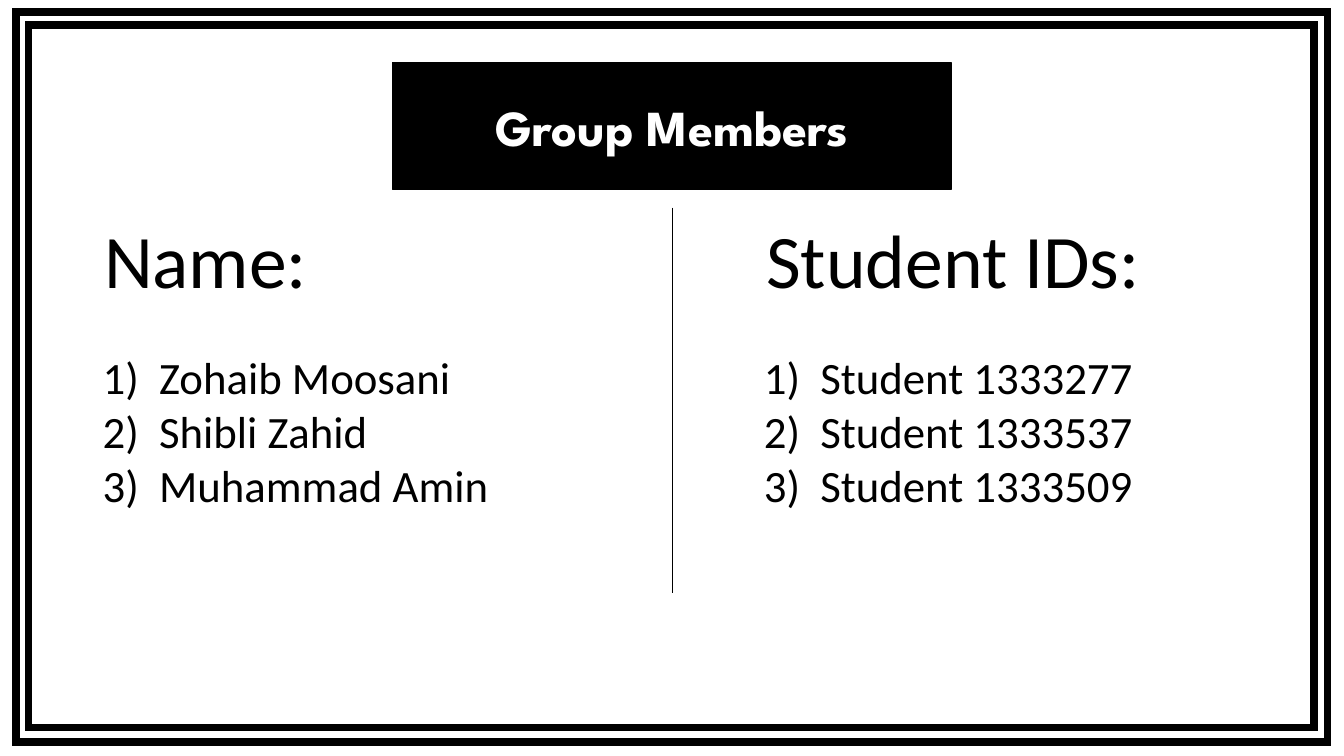
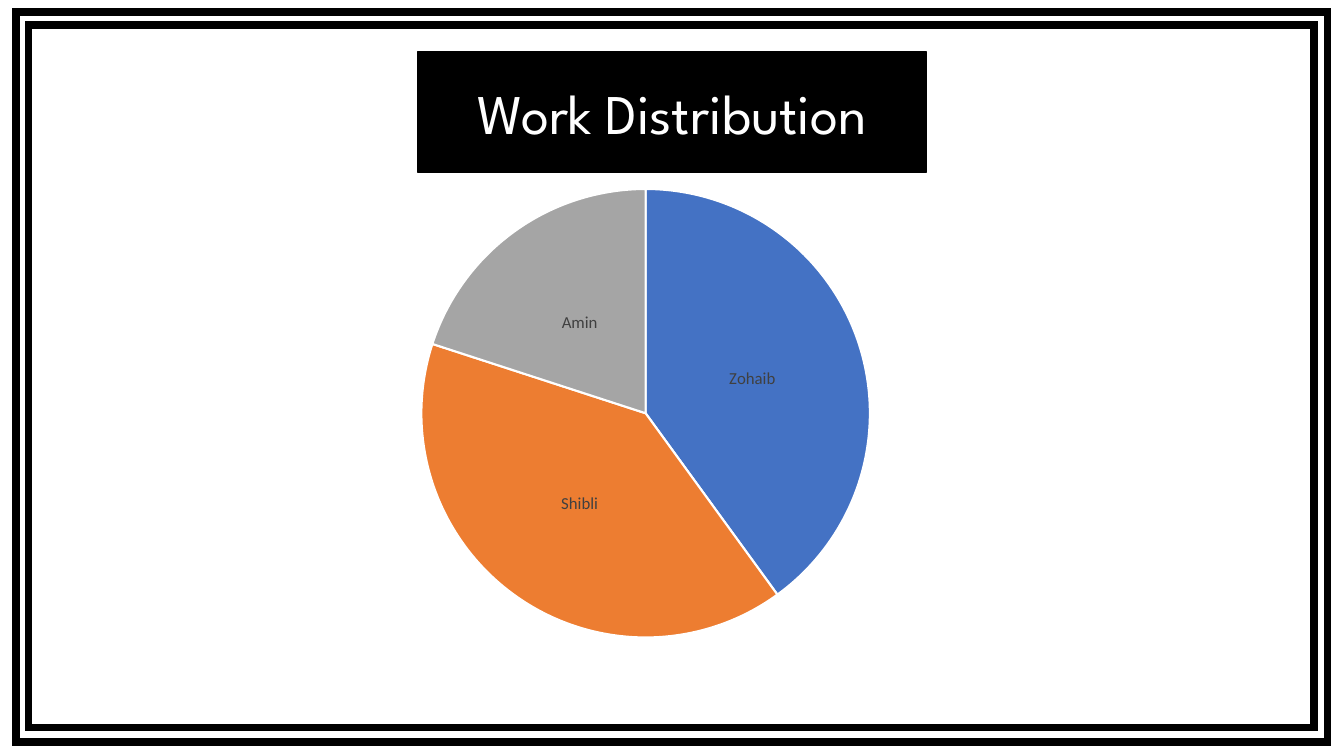
from dataclasses import dataclass

from lxml import etree
from pptx import Presentation
from pptx.chart.data import CategoryChartData
from pptx.dml.color import RGBColor
from pptx.enum.chart import XL_CHART_TYPE, XL_LABEL_POSITION
from pptx.enum.shapes import MSO_CONNECTOR
from pptx.enum.text import MSO_ANCHOR, MSO_AUTO_SIZE, PP_ALIGN
from pptx.oxml.ns import qn
from pptx.util import Inches, Pt

PIE = XL_CHART_TYPE.PIE
MID = XL_LABEL_POSITION.CENTER
LINE = MSO_CONNECTOR.STRAIGHT
CENTER, LEFT = PP_ALIGN.CENTER, PP_ALIGN.LEFT
MIDDLE = MSO_ANCHOR.MIDDLE
GROW, FIXED = MSO_AUTO_SIZE.SHAPE_TO_FIT_TEXT, MSO_AUTO_SIZE.NONE

WIDE, HIGH = Inches(13.333), Inches(7.5)


@dataclass(frozen=True)
class Theme:
    ink: str = "000000"
    paper: str = "FFFFFF"
    label: str = "404040"
    slices: tuple = ("4472C4", "ED7D31", "A5A5A5", "FFC000")
    body: str = "Calibri"
    head: str = "League Spartan"
    big: int = 54
    list: int = 32
    small: int = 12
    tiny: int = 10
    frame: float = 6
    hair: float = 0.5


THEME = Theme()

# Left, top, width and height of the two frames, in percent of the slide
FRAMES = ((1.2, 1.6, 97.58, 96.53), (2.14, 3.33, 95.63, 92.93))

# Left edge, heading and its width, list and its width
COLUMNS = (
    (6.9, "Name:", 16.8,
     ("Zohaib Moosani", "Shibli Zahid", "Muhammad Amin"), 30.53),
    (56.1, "Student IDs:", 29.63,
     ("Student 1333277", "Student 1333537", "Student 1333509"), 29.25),
)
TOP = 27.47

SHARES = (40, 40, 20, 0)
NAMES = ("Zohaib", "Shibli", "Amin")
PLOT = {"x": 0.209, "y": 0.009, "w": 0.624, "h": 0.936}


# Helpers
def rgb(code):
    return RGBColor.from_string(code)


def place(x, y, w, h):
    """Turn percent of the slide into lengths."""
    return [round(size * part / 100)
            for size, part in zip((WIDE, HIGH, WIDE, HIGH), (x, y, w, h))]


def apply(item, **values):
    for name, value in values.items():
        setattr(item, name, value)


def paint(font, size, color, face, bold=False):
    apply(font, size=Pt(size), name=face, bold=bold)
    font.color.rgb = rgb(color)


def fill(item, color):
    item.fill.solid()
    item.fill.fore_color.rgb = rgb(color)


def stroke(line, color, width):
    line.color.rgb = rgb(color)
    line.width = Pt(width)


# Shared parts
def add_frame(slide, spot):
    frame = slide.shapes.add_table(1, 1, *place(*spot))
    apply(frame.table, first_row=False, horz_banding=False)
    frame.table.cell(0, 0).fill.background()
    props = next(frame.element.iter(qn("a:tcPr")))
    for i, side in enumerate("LRTB"):
        edge = etree.Element(qn(f"a:ln{side}"), w=str(Pt(THEME.frame)))
        solid = etree.SubElement(edge, qn("a:solidFill"))
        etree.SubElement(solid, qn("a:srgbClr"), val=THEME.ink)
        props.insert(i, edge)


def add_title(slide, text, top, width, height, size, bold=False):
    title = slide.shapes.title
    spot = place(50 - width / 2, top, width, height)
    apply(title, **dict(zip(("left", "top", "width", "height"), spot)))
    shape = etree.SubElement(title.element.spPr, qn("a:prstGeom"),
                             prst="roundRect")
    etree.SubElement(shape, qn("a:avLst"))
    fill(title, THEME.ink)
    stroke(title.line, THEME.ink, 1)
    frame = title.text_frame
    apply(frame, text=text, auto_size=FIXED, vertical_anchor=MIDDLE)
    para = frame.paragraphs[0]
    para.alignment = CENTER
    paint(para.runs[0].font, size, THEME.paper, THEME.head, bold)


def add_page(deck, *title, **look):
    slide = deck.slides.add_slide(deck.slide_layouts[5])
    fill(slide.background, THEME.paper)
    for spot in FRAMES:
        add_frame(slide, spot)
    add_title(slide, *title, **look)
    return slide


# Kinds of content
def add_text(slide, spot, lines, size, align):
    frame = slide.shapes.add_textbox(*place(*spot)).text_frame
    apply(frame, text="\n".join(lines), word_wrap=False, auto_size=GROW)
    for para in frame.paragraphs:
        para.alignment = align
        paint(para.runs[0].font, size, THEME.ink, THEME.body)
    return frame


def number(frame):
    indent = Inches(0.56)
    for para in frame.paragraphs:
        props = para._p.get_or_add_pPr()
        props.set("marL", str(indent))
        props.set("indent", str(-indent))
        etree.SubElement(props, qn("a:buAutoNum"), type="arabicParenR")


def add_rule(slide, x, top, end):
    start = place(x, top, x, end)
    rule = slide.shapes.add_connector(LINE, *start)
    stroke(rule.line, THEME.ink, THEME.hair)
    etree.SubElement(rule.element.spPr, qn("a:effectLst"))


def set_plot(chart):
    area = next(chart.element.iter(qn("c:plotArea")))
    for old in area.findall(qn("c:layout")):
        area.remove(old)
    layout = etree.Element(qn("c:layout"))
    manual = etree.SubElement(layout, qn("c:manualLayout"))
    parts = {"layoutTarget": "inner", "xMode": "edge", "yMode": "edge", **PLOT}
    for name, value in parts.items():
        etree.SubElement(manual, qn(f"c:{name}"), val=str(value))
    area.insert(0, layout)


def add_pie(slide, spot):
    data = CategoryChartData()
    data.categories = [str(i + 1) for i in range(len(SHARES))]
    data.add_series("Series 1", SHARES)
    chart = slide.shapes.add_chart(PIE, *place(*spot), data).chart
    apply(chart, has_legend=False, has_title=False)
    paint(chart.font, THEME.tiny, THEME.ink, THEME.body)
    set_plot(chart)

    plot = chart.plots[0]
    plot.vary_by_categories = True
    series = plot.series[0]
    for i, color in enumerate(THEME.slices):
        look = series.points[i].format
        fill(look, color)
        stroke(look.line, THEME.paper, 1.5)

    # The number format hides the label of an empty slice
    labels = series.data_labels
    apply(labels, show_value=False, show_percentage=True, position=MID,
          number_format="0%;;", number_format_is_linked=False)
    paint(labels.font, THEME.small, THEME.label, THEME.body)
    for i, name in enumerate(NAMES):
        label = series.points[i].data_label
        label.text_frame.text = name
        label.position = MID
        run = label.text_frame.paragraphs[0].runs[0]
        paint(run.font, THEME.small, THEME.label, THEME.body)


# Slides
def add_group(deck):
    slide = add_page(deck, "Group Members", 8.27, 41.55, 16.8, 36, bold=True)
    for left, head, wide, items, span in COLUMNS:
        add_text(slide, (left, TOP, wide, 13.47), [head], THEME.big, CENTER)
        number(add_text(slide, (left, 45.6, span, 22.93), items,
                        THEME.list, LEFT))
    add_rule(slide, 50, TOP, 78.4)


def add_work(deck):
    slide = add_page(deck, "Work Distribution", 6.8, 37.8, 16, 40)
    add_pie(slide, (20.18, 24.4, 53.48, 63.47))


def main():
    deck = Presentation()
    apply(deck, slide_width=WIDE, slide_height=HIGH)
    add_group(deck)
    add_work(deck)
    deck.save("out.pptx")


if __name__ == "__main__":
    main()
